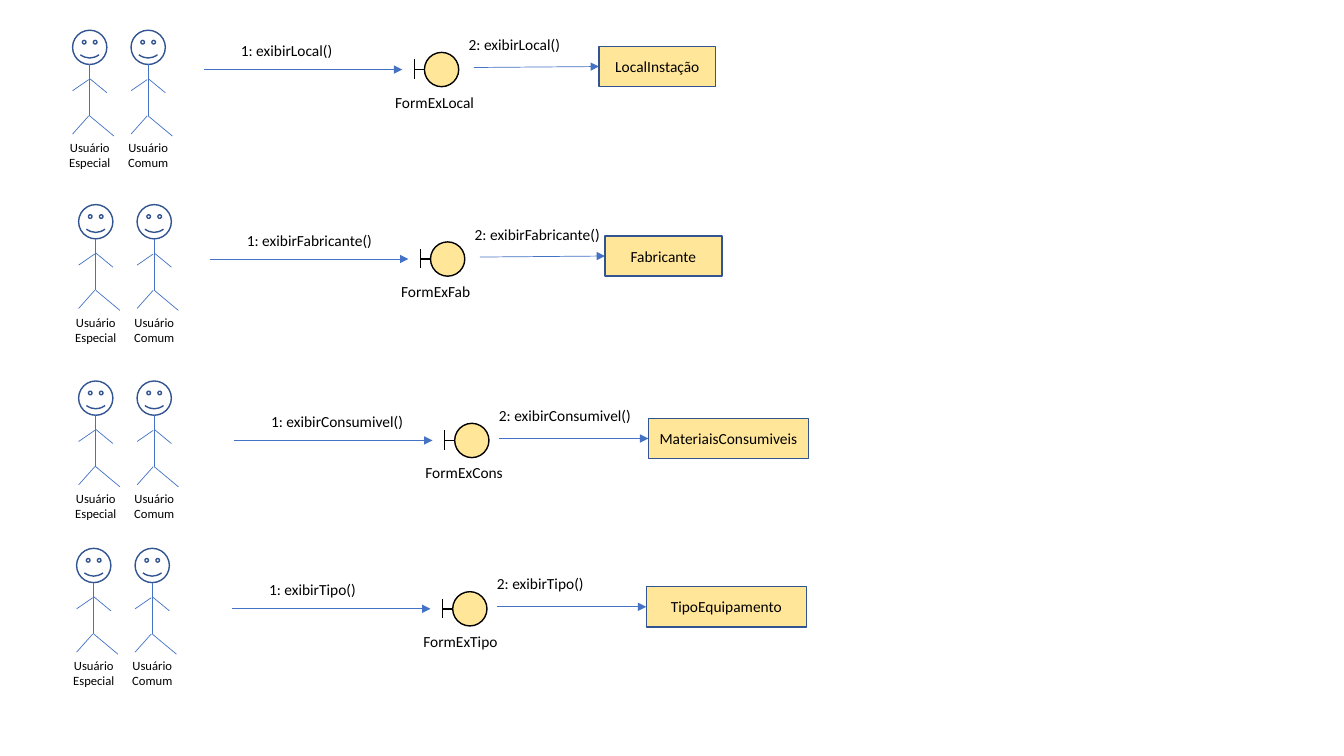
import pptx
import pptx.dml.color
import pptx.enum.dml
import pptx.enum.shapes
import pptx.enum.text
import pptx.oxml
import pptx.oxml.ns
import pptx.util

SHAPE = pptx.enum.shapes.MSO_SHAPE
ALIGN = pptx.enum.text.PP_ALIGN
COLORS = {"blue": "4472C4", "navy": "325491", "sand": "FFE699", "black": "000000"}
WIDTH, HEIGHT = pptx.util.Inches(13.33), pptx.util.Inches(7.5)
COLS, ROWS = 13.33, 7.5
HEAD = 0.34
ACTOR_GAP = 0.58
LABEL_H = 0.29
LIMBS = [
    (0.17, 0.34, 0.17, 0.85),
    (0.16, 0.49, 0, 0.6),
    (0.17, 0.48, 0.34, 0.62),
    (0.16, 0.85, 0, 1.03),
    (0.17, 0.85, 0.41, 1.05),
]
NARROW = {"start": 2.68, "box": 3.92, "width": 1.16, "end": -0.03}
WIDE = {"start": 2.63, "box": 4.11, "width": 1.59, "end": -0.02}
DIAGRAMS = [
    {"actors": (0.72, 0.3), "flow": (2.02, 0.69), "size": NARROW, "call": "exibirLocal()",
     "form": "FormExLocal", "entity": "LocalInstação", "widths": (1.12, 0.99, 1.16)},
    {"actors": (0.78, 2.03), "flow": (2.08, 2.57), "size": NARROW, "call": "exibirFabricante()",
     "form": "FormExFab", "entity": "Fabricante", "widths": (1.46, 0.93, 1.46)},
    {"actors": (0.78, 3.78), "flow": (2.32, 4.37), "size": WIDE, "call": "exibirConsumivel()",
     "form": "FormExCons", "entity": "MateriaisConsumiveis", "widths": (1.53, 0.98, 1.53)},
    {"actors": (0.76, 5.44), "flow": (2.3, 6.04), "size": WIDE, "call": "exibirTipo()",
     "form": "FormExTipo", "entity": "TipoEquipamento", "widths": (1.07, 0.94, 1.07)},
]


def col(n):
    return round(WIDTH * n / COLS)


def row(n):
    return round(HEIGHT * n / ROWS)


def rgb(name):
    return pptx.dml.color.RGBColor.from_string(COLORS[name])


def set_line(line, color, width):
    line.color.rgb = rgb(color)
    line.width = pptx.util.Pt(width)


def add_line(shapes, x1, y1, x2, y2, color="blue", width=0.5, arrow=False):
    cn = shapes.add_connector(pptx.enum.shapes.MSO_CONNECTOR.STRAIGHT,
                              col(x1), row(y1), col(x2), row(y2))
    set_line(cn.line, color, width)
    if arrow:
        ln = cn.line._get_or_add_ln()
        tail = pptx.oxml.parse_xml(
            "<a:tailEnd %s type='triangle'/>" % pptx.oxml.ns.nsdecls("a"))
        ln.append(tail)
    cn._element.spPr.append(
        pptx.oxml.parse_xml("<a:effectLst %s/>" % pptx.oxml.ns.nsdecls("a")))


def add_shape(shapes, kind, x, y, w, h, line, fill=None):
    sp = shapes.add_shape(kind, col(x), row(y), col(w), row(h))
    sp.shadow.inherit = False
    if fill:
        sp.fill.solid()
        sp.fill.fore_color.rgb = rgb(fill)
    else:
        sp.fill.background()
    set_line(sp.line, line, 1)
    return sp


def write(tf, text, size, align):
    p = tf.paragraphs[0]
    p.alignment = align
    r = p.add_run()
    r.text = text
    r.font.size = pptx.util.Pt(size)
    r.font.name = "Calibri"
    r.font.color.rgb = rgb("black")


def add_label(shapes, text, x, y, w, h=LABEL_H, size=11, align=ALIGN.LEFT, wrap=False):
    tf = shapes.add_textbox(col(x), row(y), col(w), row(h)).text_frame
    tf.word_wrap = wrap
    tf.auto_size = pptx.enum.text.MSO_AUTO_SIZE.SHAPE_TO_FIT_TEXT
    write(tf, text, size, align)


def add_actor(s, name, x, y):
    shapes = s.shapes.add_group_shape().shapes
    add_shape(shapes, SHAPE.SMILEY_FACE, x, y, HEAD, HEAD, "navy")
    for x1, y1, x2, y2 in LIMBS:
        add_line(shapes, x + x1, y + y1, x + x2, y + y2)
    add_label(shapes, name, x - 0.15, y + 1.04, 0.64, 0.4, 9, ALIGN.CENTER, True)


def add_boundary(s, name, x, y, w):
    add_shape(s.shapes, SHAPE.OVAL, x, y - HEAD / 2, HEAD, HEAD, "black", "sand")
    add_line(s.shapes, x, y, x - 0.1, y, "black", 1)
    add_line(s.shapes, x - 0.1, y - 0.1, x - 0.1, y + 0.09, "black", 1)
    add_label(s.shapes, name, x - 0.39, y + 0.18, w)


def add_entity(s, name, x, middle, w):
    sp = add_shape(s.shapes, SHAPE.RECTANGLE, x, middle - 0.2, w, 0.4, "navy", "sand")
    tf = sp.text_frame
    tf.vertical_anchor = pptx.enum.text.MSO_ANCHOR.MIDDLE
    write(tf, name, 11, ALIGN.CENTER)


def add_flow(s, d):
    x, y = d["flow"]
    size = d["size"]
    first_w, form_w, second_w = d["widths"]
    end_y = y + size["end"]
    add_line(s.shapes, x, y, x + 1.97, y, arrow=True)
    add_label(s.shapes, "1: " + d["call"], x + 0.27, y - 0.33, first_w)
    add_boundary(s, d["form"], x + 2.19, y, form_w)
    add_line(s.shapes, x + size["start"], y - 0.02, x + size["box"], end_y, arrow=True)
    add_label(s.shapes, "2: " + d["call"], x + 2.53, y - 0.39, second_w)
    add_entity(s, d["entity"], x + size["box"], end_y, size["width"])


def main():
    prs = pptx.Presentation()
    prs.slide_width, prs.slide_height = WIDTH, HEIGHT
    s = prs.slides.add_slide(prs.slide_layouts[6])
    for d in DIAGRAMS:
        x, y = d["actors"]
        add_actor(s, "Usuário Comum", x + ACTOR_GAP, y)
        add_actor(s, "Usuário Especial", x, y)
        add_flow(s, d)
    prs.save("out.pptx")


main()
